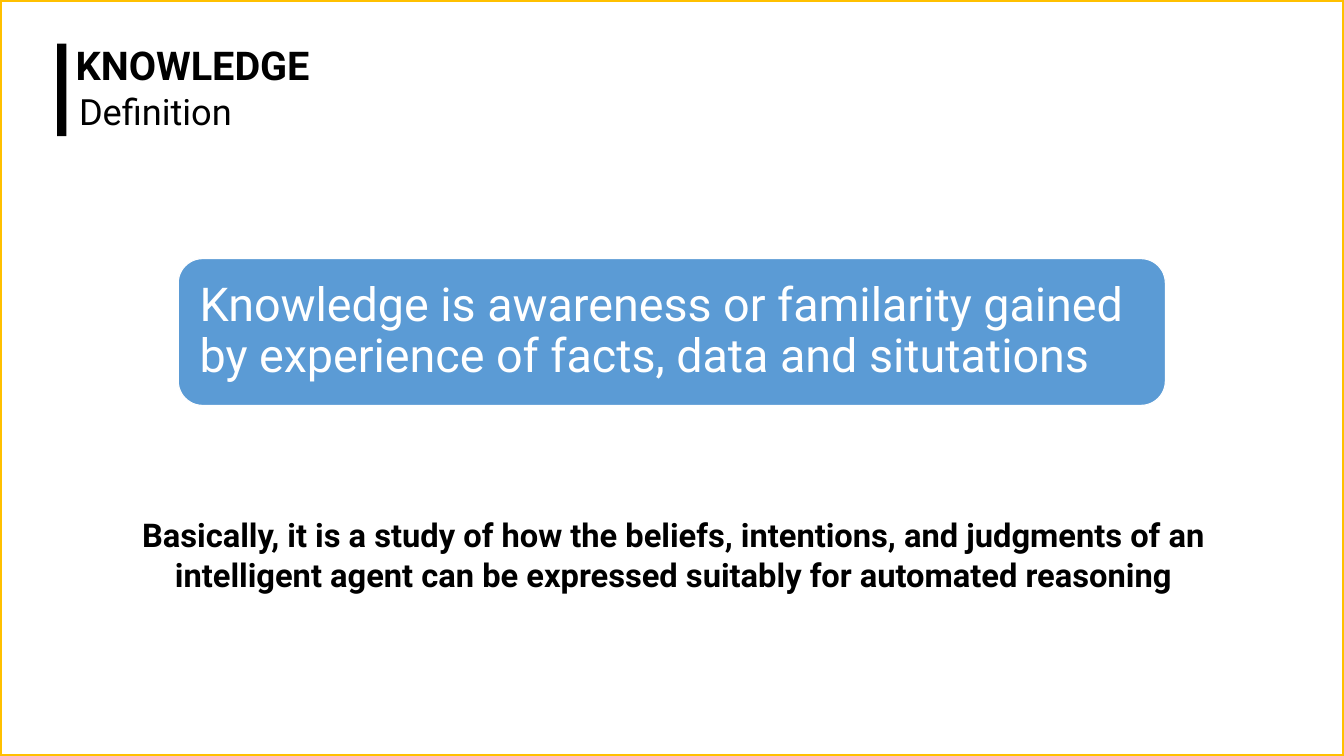
import pptx
import pptx.util
import pptx.dml.color
import pptx.enum.shapes
import pptx.enum.text

Cm = pptx.util.Cm
Pt = pptx.util.Pt
Color = pptx.dml.color.RGBColor.from_string
Shape = pptx.enum.shapes.MSO_SHAPE
Anchor = pptx.enum.text.MSO_ANCHOR
Align = pptx.enum.text.PP_ALIGN

theme = {
    "font": "Roboto",
    "black": "000000",
    "white": "FFFFFF",
    "gold": "FFC000",
    "blue": "5B9BD5",
    "title": 34,
    "subtitle": 31,
    "callout": 40,
    "summary": 28,
}

deck = pptx.Presentation()
deck.slide_width = Cm(40.64)
deck.slide_height = Cm(22.86)
page = deck.slides.add_slide(deck.slide_layouts[6])

panels = [
    (Shape.RECTANGLE, (0, 0, 40.64, 22.86), None, "gold", 3),
    (Shape.RECTANGLE, (1.73, 1.32, 0.28, 2.8), "black", None, 0),
    (Shape.ROUNDED_RECTANGLE, (5.39, 7.82, 29.85, 4.44), "blue", "white", 1),
]
for kind, bounds, fill, line, width in panels:
    panel = page.shapes.add_shape(kind, *map(Cm, bounds))
    panel.shadow.inherit = False
    if fill:
        panel.fill.solid()
        panel.fill.fore_color.rgb = Color(theme[fill])
    else:
        panel.fill.background()
    if line:
        panel.line.color.rgb = Color(theme[line])
        panel.line.width = Pt(width)
    else:
        panel.line.fill.background()

title = page.shapes.add_textbox(Cm(1.99), Cm(1.24), Cm(20.7), Cm(1.47))
subtitle = page.shapes.add_textbox(Cm(2.09), Cm(2.77), Cm(20.65), Cm(1.45))
summary = page.shapes.add_textbox(Cm(1.98), Cm(15.45), Cm(36.75), Cm(2.64))

texts = [
    (title, "title", "KNOWLEDGE", (0.3, 0.15), Anchor.TOP,
     {"line_spacing": 0.9}, "black", True),
    (subtitle, "subtitle", "Definition", (0.3, 0.15), Anchor.MIDDLE,
     {"line_spacing": 0.8}, "black", False),
    (panel, "callout",
     "Knowledge is awareness or familarity gained by experience of facts, data and situtations",
     (0.43, 0.43), Anchor.MIDDLE,
     {"line_spacing": 0.9, "alignment": Align.LEFT}, "white", False),
    (summary, "summary",
     "Basically, it is a study of how the beliefs, intentions, and judgments of an "
     "intelligent agent can be expressed suitably for automated reasoning",
     (0.25, 0.13), Anchor.TOP,
     {"alignment": Align.CENTER}, "black", True),
]
for box, role, words, (side, edge), anchor, layout, color, bold in texts:
    frame = box.text_frame
    frame_format = {
        "word_wrap": True,
        "vertical_anchor": anchor,
        "margin_left": Cm(side),
        "margin_right": Cm(side),
        "margin_top": Cm(edge),
        "margin_bottom": Cm(edge),
    }
    for key, value in frame_format.items():
        setattr(frame, key, value)
    para = frame.paragraphs[0]
    for key, value in layout.items():
        setattr(para, key, value)
    span = para.add_run()
    span.text = words
    span.font.color.rgb = Color(theme[color])
    for key, value in {"name": theme["font"], "size": Pt(theme[role]), "bold": bold}.items():
        setattr(span.font, key, value)

deck.save("out.pptx")
